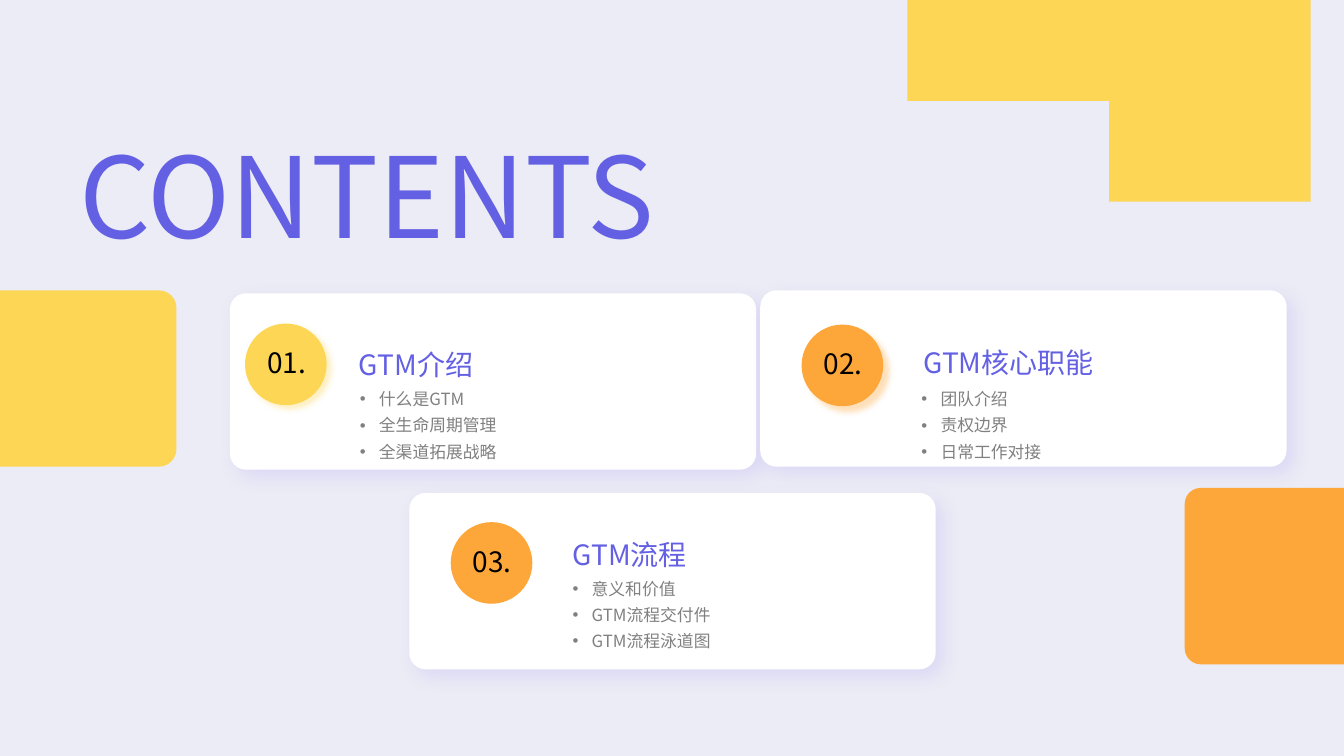
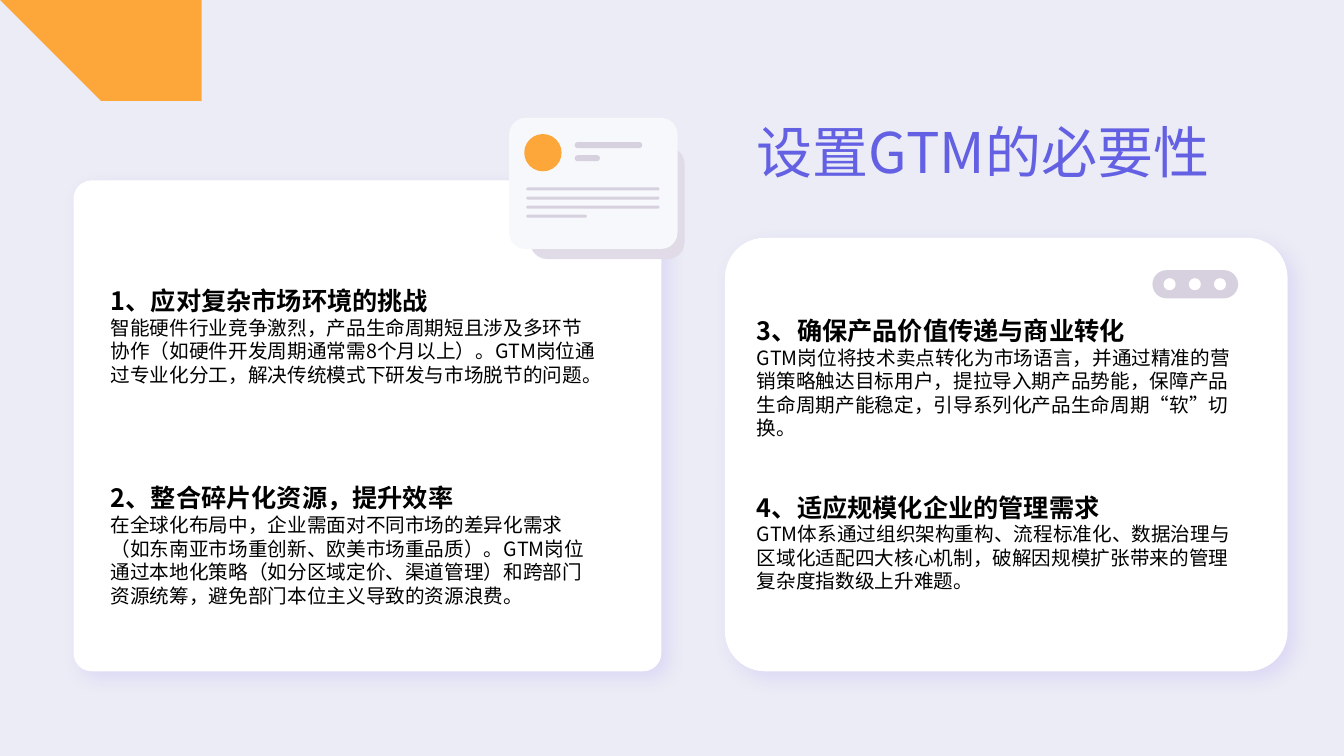
from lxml import etree
from pptx import Presentation, util as u
from pptx.dml.color import RGBColor
from pptx.enum import lang, shapes, text
from pptx.oxml.ns import qn

WIDTH, HEIGHT = 13.33, 7.5
FONT = "Noto Sans CJK SC"
BACKGROUND = RGBColor(0xEB, 0xEC, 0xF5)
PURPLE = RGBColor(0x63, 0x60, 0xE3)
GLOW = RGBColor(0x78, 0x54, 0xF7)
YELLOW = RGBColor(0xFD, 0xD6, 0x56)
ORANGE = RGBColor(0xFD, 0xA7, 0x3B)
WHITE = RGBColor(0xFF, 0xFF, 0xFF)
BLACK = RGBColor(0, 0, 0)
GREY = RGBColor(0x80, 0x80, 0x80)
LILAC = RGBColor(0xD7, 0xD1, 0xDF)
MAUVE = RGBColor(0xE0, 0xDB, 0xE6)
PAPER = RGBColor(0xF6, 0xF8, 0xFB)

ROUND = shapes.MSO_SHAPE.ROUNDED_RECTANGLE
OVAL = shapes.MSO_SHAPE.OVAL
TAB = shapes.MSO_SHAPE.ROUND_2_SAME_RECTANGLE

CARD_SHADOW = (GLOW, 12, 13, 7)
CARD_SIZE = (5.22, 1.75)
BADGE = 0.81

CHAPTERS = [
    {"card": (2.28, 2.91), "badge": (2.43, 3.21), "title": (3.46, 3.4), "list": (3.47, 3.75),
     "fill": YELLOW, "shadow": (YELLOW, 35, 4, 4), "name": "GTM介绍",
     "items": ["什么是GTM", "全生命周期管理", "全渠道拓展战略"]},
    {"card": (7.54, 2.88), "badge": (7.95, 3.22), "title": (9.06, 3.38), "list": (9.04, 3.75),
     "fill": ORANGE, "shadow": (ORANGE, 35, 4, 6), "name": "GTM核心职能",
     "items": ["团队介绍", "责权边界", "日常工作对接"]},
    {"card": (4.06, 4.89), "badge": (4.47, 5.18), "title": (5.58, 5.28), "list": (5.58, 5.63),
     "fill": ORANGE, "shadow": None, "name": "GTM流程",
     "items": ["意义和价值", "GTM流程交付件", "GTM流程泳道图"]},
]

REASONS = [
    (1, 2.78, 1.35, "1、应对复杂市场环境的挑战",
     "智能硬件行业竞争激烈，产品生命周期短且涉及多环节协作（如硬件开发周期通常需8个月以上）。"
     "GTM岗位通过专业化分工，解决传统模式下研发与市场脱节的问题。"),
    (1, 4.74, 1.35, "2、整合碎片化资源，提升效率",
     "在全球化布局中，企业需面对不同市场的差异化需求（如东南亚市场重创新、欧美市场重品质）。"
     "GTM岗位通过本地化策略（如分区域定价、渠道管理）和跨部门资源统筹，避免部门本位主义导致的资源浪费。"),
    (7.41, 3.08, 1.11, "3、确保产品价值传递与商业转化",
     "GTM岗位将技术卖点转化为市场语言，并通过精准的营销策略触达目标用户，提拉导入期产品势能，"
     "保障产品生命周期产能稳定，引导系列化产品生命周期“软”切换。"),
    (7.41, 4.83, 1.11, "4、适应规模化企业的管理需求",
     "GTM体系通过组织架构重构、流程标准化、数据治理与区域化适配四大核心机制，"
     "破解因规模扩张带来的管理复杂度指数级上升难题。"),
]

PANELS = [((0.73, 1.79, 5.83, 4.87), 0.037), ((7.19, 2.36, 5.58, 4.3), 0.092)]

CORNER_RIGHT = [(8.81, 0), (WIDTH, 0), (WIDTH, 2.24), (13.21, 2.23)]
CORNER_RIGHT_CURVES = [
    ((12.25, 2.11), (11.16, 1.63), (10.52, 1.25)),
    ((10.02, 0.95), (9.37, 0.55), (8.85, 0.05)),
]
CORNER_LEFT = [(0, 0), (2.97, 0), (2.93, 0.03)]
CORNER_LEFT_CURVES = [
    ((2.21, 0.57), (1.23, 1.1), (0.37, 0.4)),
    ((0.27, 0.32), (0.17, 0.22), (0, 0.02)),
]


def paint(shape, fill, shadow=None):
    shape.shadow.inherit = False
    shape.fill.solid()
    shape.fill.fore_color.rgb = fill
    shape.line.fill.background()
    if shadow:
        color, alpha, blur, distance = shadow
        effects = shape._element.spPr.find(qn("a:effectLst"))
        outer = etree.SubElement(effects, qn("a:outerShdw"), blurRad=str(u.Pt(blur)),
                                 dist=str(u.Pt(distance)), dir=str(45 * 60000),
                                 algn="tl", rotWithShape="0")
        tone = etree.SubElement(outer, qn("a:srgbClr"), val=str(color))
        etree.SubElement(tone, qn("a:alpha"), val=str(alpha * 1000))


def add_shape(owner, kind, place, fill, adjust=None, shadow=None):
    shape = owner.shapes.add_shape(kind, *map(u.Inches, place))
    if adjust is not None:
        shape.adjustments[0] = adjust
    paint(shape, fill, shadow)
    return shape


def add_side_tab(page, place, fill, turn):
    left, top, width, height = place
    shift = (width - height) / 2
    tab = add_shape(page, TAB, (left + shift, top - shift, height, width), fill, 0.1)
    tab.rotation = turn


def add_blob(page, points, curves, fill, steps=24):
    outline = list(points)
    for first, second, end in curves:
        start = outline[-1]
        for step in range(1, steps + 1):
            t = step / steps
            weights = ((1 - t) ** 3, 3 * t * (1 - t) ** 2, 3 * t * t * (1 - t), t ** 3)
            corners = (start, first, second, end)
            outline.append(tuple(sum(w * c[axis] for w, c in zip(weights, corners))
                                 for axis in (0, 1)))
    builder = page.shapes.build_freeform(*outline[0], scale=u.Inches(1))
    builder.add_line_segments(outline[1:], close=True)
    paint(builder.convert_to_shape(), fill)


def add_bullet(para):
    props = para._p.get_or_add_pPr()
    props.set("marL", str(u.Inches(0.19)))
    props.set("indent", str(-u.Inches(0.19)))
    para.line_spacing = 1.3
    etree.SubElement(props, qn("a:buFont"), typeface="Arial")
    etree.SubElement(props, qn("a:buChar"), char="•")


def add_text(page, place, lines, bulleted=False):
    box = page.shapes.add_textbox(*map(u.Inches, place))
    frame = box.text_frame
    frame.word_wrap = True
    frame.auto_size = text.MSO_AUTO_SIZE.SHAPE_TO_FIT_TEXT
    frame.text = "\n".join(line[0] for line in lines)
    for para, (_, size, color, bold) in zip(frame.paragraphs, lines):
        if bulleted:
            add_bullet(para)
        for span in para.runs:
            span.font.size = u.Pt(size)
            span.font.bold = bold
            span.font.color.rgb = color
            span.font.name = FONT
            span.font.language_id = lang.MSO_LANGUAGE_ID.SIMPLIFIED_CHINESE
            etree.SubElement(span.font._element, qn("a:ea"), typeface=FONT)


def add_page(deck):
    page = deck.slides.add_slide(deck.slide_layouts[6])
    page.background.fill.solid()
    page.background.fill.fore_color.rgb = BACKGROUND
    return page


def add_profile_icon(page):
    icon = page.shapes.add_group_shape()
    add_shape(icon, ROUND, (5.26, 1.46, 1.53, 1.11), MAUVE, 0.15)
    add_shape(icon, ROUND, (5.05, 1.17, 1.67, 1.3), PAPER, 0.125)
    add_shape(icon, OVAL, (5.2, 1.33, 0.37, 0.37), ORANGE)
    for row, width in enumerate((0.67, 0.25)):
        add_shape(icon, ROUND, (5.7, 1.41 + 0.13 * row, width, 0.06), LILAC, 0.5)
    for row, width in enumerate((1.32, 1.32, 1.32, 0.6)):
        add_shape(icon, ROUND, (5.22, 1.86 + 0.09 * row, width, 0.03), LILAC, 0.5)


def add_dots_icon(page):
    icon = page.shapes.add_group_shape()
    add_shape(icon, ROUND, (11.43, 2.68, 0.85, 0.28), LILAC, 0.5)
    for column in range(3):
        add_shape(icon, OVAL, (11.54 + 0.25 * column, 2.76, 0.12, 0.12), WHITE)


def build_contents(deck):
    page = add_page(deck)
    add_blob(page, CORNER_RIGHT, CORNER_RIGHT_CURVES, YELLOW)
    add_text(page, (0.69, 1.21, 7.43, 1.45), [("CONTENTS", 80, PURPLE, False)])
    for number, chapter in enumerate(CHAPTERS, 1):
        left, top = chapter["badge"]
        add_shape(page, ROUND, (*chapter["card"], *CARD_SIZE), WHITE, 0.092, CARD_SHADOW)
        add_text(page, (*chapter["title"], 3.31, 0.44), [(chapter["name"], 20, PURPLE, False)])
        add_shape(page, OVAL, (left, top, BADGE, BADGE), chapter["fill"],
                  shadow=chapter["shadow"])
        add_text(page, (left + 0.12, top + 0.17, 0.69, 0.44),
                 [(f"{number:02}.", 20, BLACK, False)])
        add_text(page, (*chapter["list"], 3.31, 0.89),
                 [(item, 12, GREY, False) for item in chapter["items"]], bulleted=True)
    add_side_tab(page, (WIDTH - 1.58, 4.84, 1.58, 1.75), ORANGE, 270)
    add_side_tab(page, (0, 2.88, 1.75, 1.75), YELLOW, 90)


def build_reasons(deck):
    page = add_page(deck)
    add_blob(page, CORNER_LEFT, CORNER_LEFT_CURVES, ORANGE)
    for place, adjust in PANELS:
        add_shape(page, ROUND, place, WHITE, adjust, CARD_SHADOW)
    add_text(page, (7.41, 1.12, 5.07, 0.77), [("设置GTM的必要性", 40, PURPLE, False)])
    add_profile_icon(page)
    add_dots_icon(page)
    for left, top, height, heading, body in REASONS:
        add_text(page, (left, top, 5.06, height),
                 [(heading, 18, BLACK, True), (body, 14, BLACK, False)])


def main():
    deck = Presentation()
    deck.slide_width, deck.slide_height = u.Inches(WIDTH), u.Inches(HEIGHT)
    build_contents(deck)
    build_reasons(deck)
    deck.save("out.pptx")


if __name__ == "__main__":
    main()
